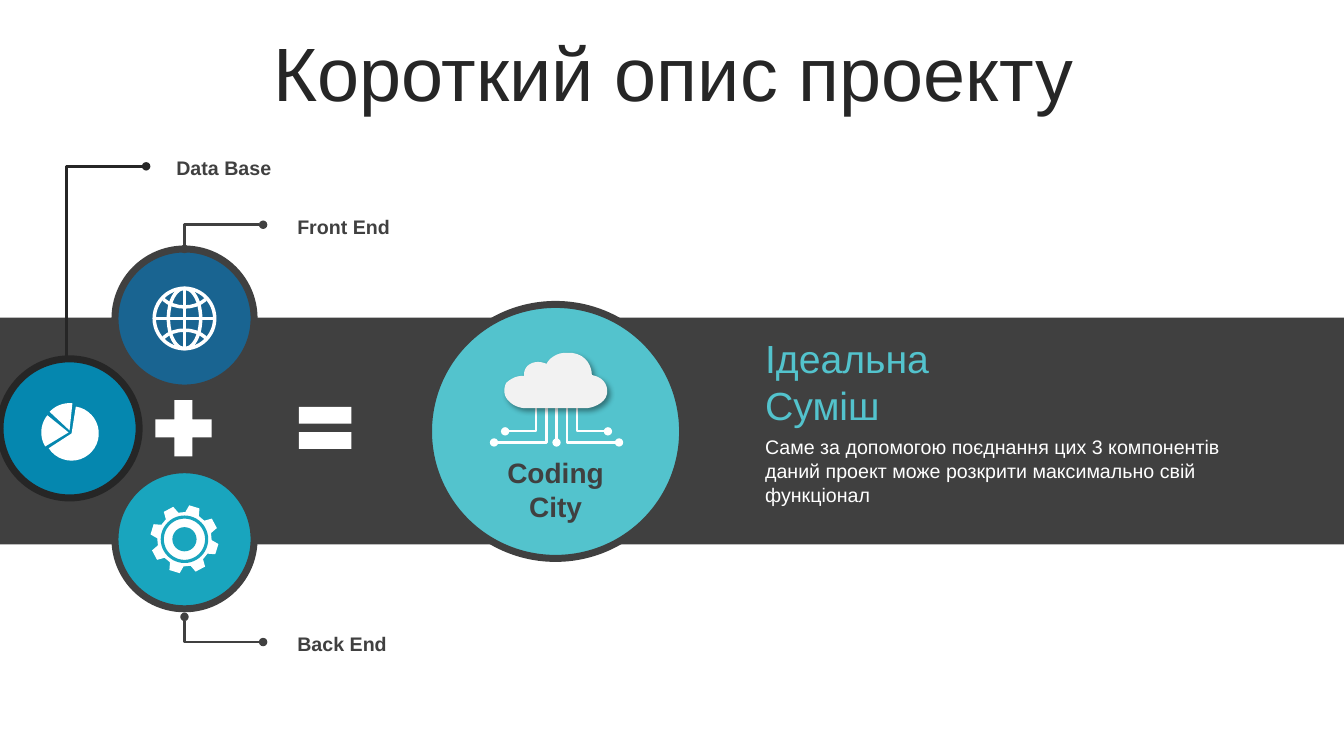
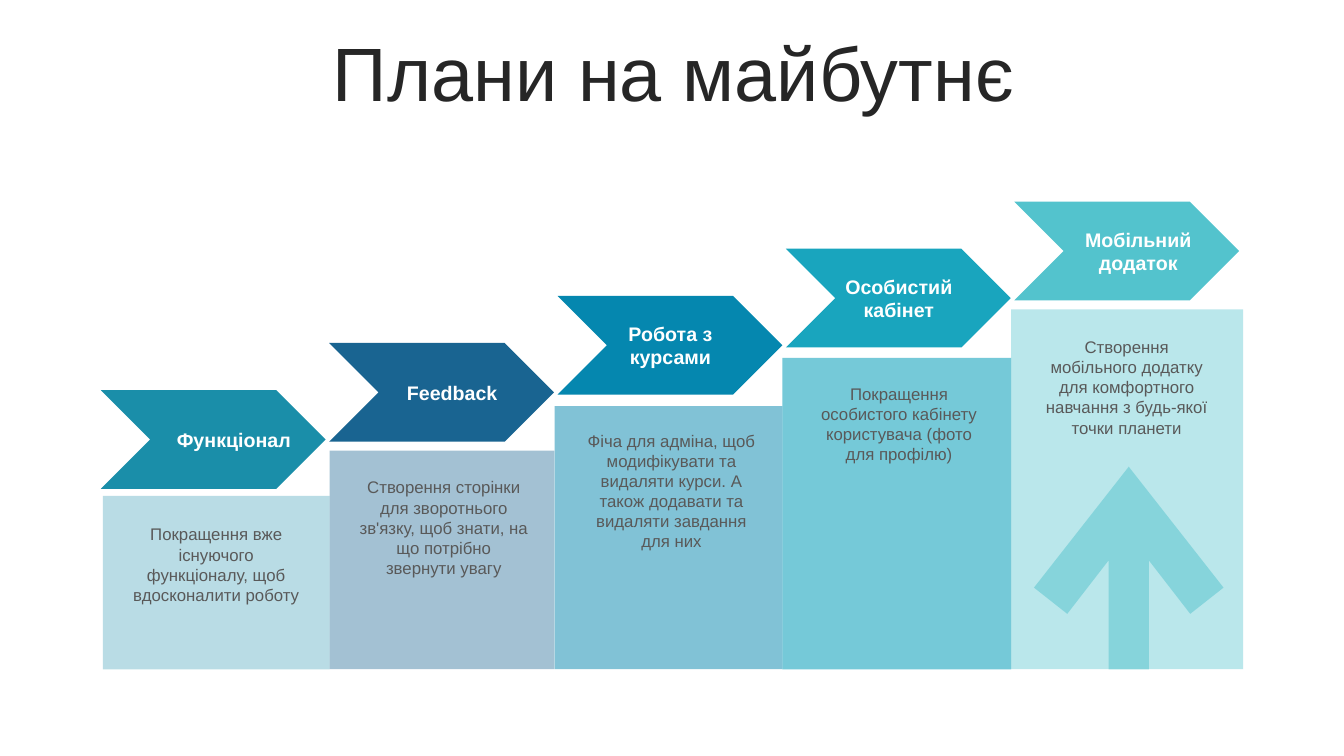
import math
from dataclasses import dataclass

import lxml.etree
import pptx
import pptx.dml.color
import pptx.enum.shapes
import pptx.enum.text
import pptx.oxml.ns
import pptx.util

Inches = pptx.util.Inches
Pt = pptx.util.Pt
RGBColor = pptx.dml.color.RGBColor
SHAPE = pptx.enum.shapes.MSO_SHAPE
CONNECTOR = pptx.enum.shapes.MSO_CONNECTOR
ALIGN = pptx.enum.text.PP_ALIGN
ANCHOR = pptx.enum.text.MSO_ANCHOR
qn = pptx.oxml.ns.qn

FONT = "Arial"
INK = RGBColor(0x26, 0x26, 0x26)
CHARCOAL = RGBColor(0x40, 0x40, 0x40)
GREY = RGBColor(0x59, 0x59, 0x59)
WHITE = RGBColor(0xFF, 0xFF, 0xFF)
CLOUD_WHITE = RGBColor(0xF2, 0xF2, 0xF2)
SEA = RGBColor(0x1A, 0x8E, 0xA9)
NAVY = RGBColor(0x19, 0x64, 0x91)
BLUE = RGBColor(0x05, 0x87, 0xAF)
TEAL = RGBColor(0x19, 0xA5, 0xBE)
AQUA = RGBColor(0x53, 0xC3, 0xCD)


@dataclass
class Box:
    left: float
    top: float
    width: float
    height: float

    def inner(self, dx, dy, width, height):
        return Box(self.left + dx, self.top + dy, width, height)

    def emu(self):
        return [Inches(v) for v in (self.left, self.top, self.width, self.height)]

    def center(self):
        return self.left + self.width / 2, self.top + self.height / 2


def square(center, radius):
    return Box(center[0] - radius, center[1] - radius, 2 * radius, 2 * radius)


def paint(shape, fill, line=None, weight=0, opacity=100):
    shape.shadow.inherit = False
    if fill is None:
        shape.fill.background()
    else:
        shape.fill.solid()
        shape.fill.fore_color.rgb = fill
        if opacity < 100:
            color = shape._element.spPr.find(qn("a:solidFill"))[0]
            lxml.etree.SubElement(color, qn("a:alpha"), val=str(opacity * 1000))
    if line is None:
        shape.line.fill.background()
    else:
        shape.line.color.rgb = line
        shape.line.width = Pt(weight)
    return shape


def draw(slide, preset, box, fill, line=None, weight=0, opacity=100):
    return paint(slide.shapes.add_shape(preset, *box.emu()), fill, line, weight, opacity)


def outline(slide, points, fill, line=None, weight=0, opacity=100, close=True):
    spots = [(Inches(x), Inches(y)) for x, y in points]
    builder = slide.shapes.build_freeform(*spots[0])
    builder.add_line_segments(spots[1:], close=close)
    return paint(builder.convert_to_shape(), fill, line, weight, opacity)


def write(slide, box, lines, size, color, bold=False, align=ALIGN.LEFT,
          anchor=ANCHOR.TOP, spacing=None):
    frame = slide.shapes.add_textbox(*box.emu()).text_frame
    frame.word_wrap = True
    frame.vertical_anchor = anchor
    for index, line in enumerate(lines):
        paragraph = frame.add_paragraph() if index else frame.paragraphs[0]
        paragraph.alignment = align
        if spacing:
            paragraph.line_spacing = spacing
        run = paragraph.add_run()
        run.text = line
        run.font.name = FONT
        run.font.size = Pt(size)
        run.font.bold = bold
        run.font.color.rgb = color


def connect(slide, start, end, color, weight, ends=(), bent=False):
    kind = CONNECTOR.ELBOW if bent else CONNECTOR.STRAIGHT
    wire = slide.shapes.add_connector(kind, *(Inches(v) for v in (*start, *end)))
    wire.line.color.rgb = color
    wire.line.width = Pt(weight)
    properties = wire._element.spPr
    if bent:
        properties.find(qn("a:prstGeom")).set("prst", "bentConnector2")
    for tip in ends:
        lxml.etree.SubElement(properties.find(qn("a:ln")), qn("a:" + tip), type="oval")
    lxml.etree.SubElement(properties, qn("a:effectLst"))


def bezier(start, first, second, end, steps=8):
    for step in range(1, steps + 1):
        t = step / steps
        weights = ((1 - t) ** 3, 3 * t * (1 - t) ** 2, 3 * t * t * (1 - t), t ** 3)
        yield tuple(sum(w * p[axis] for w, p in zip(weights, (start, first, second, end)))
                    for axis in (0, 1))


def polar(center, radius, degrees):
    angle = math.radians(degrees)
    return center[0] + radius * math.cos(angle), center[1] + radius * math.sin(angle)


def title(slide, text):
    write(slide, Box(0.35, 0.37, 12.66, 0.79), [text], 54, INK,
          align=ALIGN.CENTER, anchor=ANCHOR.MIDDLE, spacing=0.9)


def globe(slide, center):
    x, y = center
    radius = 0.3
    draw(slide, SHAPE.OVAL, square(center, radius), None, WHITE, 2.5)
    draw(slide, SHAPE.OVAL, Box(x - 0.16, y - radius, 0.32, 2 * radius), None, WHITE, 2.5)
    connect(slide, (x - radius, y), (x + radius, y), WHITE, 2.5)
    connect(slide, (x, y - radius), (x, y + radius), WHITE, 2.5)
    for side in (-1, 1):
        curve = [(x + dx, y + side * dy)
                 for dx, dy in ((-0.21, 0.19), (-0.1, 0.09), (0.1, 0.09), (0.21, 0.19))]
        outline(slide, [curve[0], *bezier(*curve)], None, WHITE, 2.5, close=False)


def gear(slide, center):
    profile = ((0.27, -15), (0.34, -9), (0.34, 9), (0.27, 15))
    teeth = [polar(center, radius, 17 + 45 * tooth + turn)
             for tooth in range(8) for radius, turn in profile]
    outline(slide, teeth, WHITE)
    draw(slide, SHAPE.OVAL, square(center, 0.22), WHITE, TEAL, 2.25)
    draw(slide, SHAPE.OVAL, square(center, 0.12), TEAL)


def pie(slide, center):
    x, y = center
    for dx, dy, first, last in ((0, -0.01, 223, 276), (0.02, 0.02, -81, 147),
                                (-0.01, 0.01, 149, 219)):
        apex = (x + dx, y + dy)
        arc = [polar(apex, 0.27, first + (last - first) * step / 24) for step in range(25)]
        outline(slide, [apex, *arc], WHITE)


def component(slide, box, fill, ring, icon, shift=0):
    draw(slide, SHAPE.OVAL, box, fill, ring, 5)
    x, y = box.center()
    icon(slide, (x, y + shift))


def cloud(slide, box):
    curves = (
        ((0.65, 0), (0.66, 0), (0.67, 0)), ((0.83, 0.02), (0.87, 0.15), (0.87, 0.22)),
        ((1.02, 0.25), (1.03, 0.36), (1.02, 0.41)), ((1, 0.51), (0.86, 0.55), (0.81, 0.55)),
        ((0.6, 0.55), (0.4, 0.55), (0.2, 0.55)), ((0.12, 0.54), (0.07, 0.51), (0.03, 0.46)),
        ((-0.01, 0.41), (0, 0.34), (0.02, 0.3)), ((0.04, 0.28), (0.11, 0.22), (0.2, 0.23)),
        ((0.19, 0.18), (0.22, 0.13), (0.26, 0.11)), ((0.31, 0.08), (0.38, 0.09), (0.42, 0.11)),
        ((0.44, 0.07), (0.51, -0.01), (0.64, 0)))
    points = [(0.64, 0)]
    for curve in curves:
        points.extend(bezier(points[-1], *curve))
    shape = outline(slide, [(box.left + x, box.top + y) for x, y in points], CLOUD_WHITE)
    effects = shape._element.spPr.find(qn("a:effectLst"))
    shadow = lxml.etree.SubElement(effects, qn("a:outerShdw"), blurRad=str(Pt(4)),
                                   dist=str(Pt(3)), dir="2700000", algn="tl", rotWithShape="0")
    black = lxml.etree.SubElement(shadow, qn("a:srgbClr"), val="000000")
    lxml.etree.SubElement(black, qn("a:alpha"), val="40000")


def coding_city(slide, box):
    draw(slide, SHAPE.OVAL, box, AQUA, CHARCOAL, 5)
    middle = box.left + box.width / 2 + 0.01
    for side in (-1, 1):
        for root, reach, drop in ((0.2, 0.51, 1.26), (0.1, 0.62, 1.37)):
            connect(slide, (middle + side * reach, box.top + drop),
                    (middle + side * root, box.top + 0.96), WHITE, 1.5, ["headEnd"], True)
    connect(slide, (middle, box.top + 0.89), (middle, box.top + 1.37), WHITE, 1.5, ["tailEnd"])
    cloud(slide, box.inner(0.75, 0.48, 1.02, 0.55))
    write(slide, box.inner(0, 1.45, box.width, 0.77), ["Coding", "City"], 20, CHARCOAL,
          True, ALIGN.CENTER)


def callout(slide, box, text, target, gap, color, ends):
    write(slide, box, [text], 14, CHARCOAL, True)
    connect(slide, (box.left - gap, box.top + 0.15), target, color, 2, ends, True)


def summary(slide, box):
    write(slide, box.inner(0, 0, box.width, 1.04), ["Ідеальна", "Суміш"], 28, AQUA)
    write(slide, box.inner(0, 1, box.width, 0.81),
          ["Саме за допомогою поєднання цих 3 компонентів даний проект може "
           "розкрити максимально свій функціонал"], 14, WHITE)


def project_slide(slide):
    title(slide, "Короткий опис проекту")
    draw(slide, SHAPE.RECTANGLE, Box(0, 3.15, 13.33, 2.25), CHARCOAL)
    component(slide, Box(1.14, 2.47, 1.38, 1.38), NAVY, CHARCOAL, globe)
    component(slide, Box(1.14, 4.66, 1.38, 1.38), TEAL, CHARCOAL, gear)
    component(slide, Box(0, 3.56, 1.38, 1.38), BLUE, INK, pie, 0.03)
    draw(slide, SHAPE.MATH_PLUS, Box(1.44, 3.87, 0.76, 0.76), WHITE)
    draw(slide, SHAPE.MATH_EQUAL, Box(2.87, 3.89, 0.71, 0.71), WHITE)
    coding_city(slide, Box(4.25, 3.02, 2.52, 2.52))
    summary(slide, Box(7.49, 3.27, 5, 1.81))
    both = ["headEnd", "tailEnd"]
    for left, top, text, target, gap, color, ends in (
            (2.85, 2.08, "Front End", (1.83, 2.47), 0.24, CHARCOAL, both),
            (2.85, 6.22, "Back End", (1.83, 6.12), 0.24, CHARCOAL, both),
            (1.65, 1.5, "Data Base", (0.66, 3.53), 0.2, INK, ["headEnd"])):
        callout(slide, Box(left, top, 4.29, 0.34), text, target, gap, color, ends)


def growth_arrow(slide, box):
    x = box.left + box.width / 2
    half = ((0, 0), (0.94, 1.2), (0.61, 1.46), (0.2, 0.93), (0.2, 2.01))
    right = [(x + dx, box.top + dy) for dx, dy in half]
    left = [(x - dx, box.top + dy) for dx, dy in reversed(half[1:])]
    outline(slide, right + left, AQUA, opacity=50)


def plan_step(slide, arrow, panel, note, heading, text, color, opacity, label_center):
    draw(slide, SHAPE.RECTANGLE, panel, color, opacity=opacity)
    draw(slide, SHAPE.CHEVRON, arrow, color)
    write(slide, arrow.inner(label_center - 0.76, 0, 1.52, arrow.height), [heading],
          14, WHITE, True, ALIGN.CENTER, ANCHOR.MIDDLE)
    write(slide, note, [text], 12, GREY, align=ALIGN.CENTER)


def plans_slide(slide):
    title(slide, "Плани на майбутнє")
    steps = (
        ("Функціонал", "Покращення вже існуючого функціоналу, щоб вдосконалити роботу",
         SEA, 30, 1.32),
        ("Feedback", "Створення сторінки для зворотнього зв'язку, щоб знати, "
         "на що потрібно звернути увагу", NAVY, 40, 1.22),
        ("Робота з курсами", "Фіча для адміна, щоб модифікувати та видаляти курси. "
         "А також додавати та видаляти завдання для них", BLUE, 50, 1.12),
        ("Особистий кабінет", "Покращення особистого кабінету користувача "
         "(фото для профілю)", TEAL, 60, 1.12),
        ("Мобільний додаток", "Створення мобільного додатку для комфортного "
         "навчання з будь-якої точки планети", AQUA, 40, 1.23))
    edges = (1.02, 3.27, 5.5, 7.76, 10.03, 12.33)
    tops = (4.92, 4.47, 4.03, 3.55, 3.07)
    base = 6.64
    for index, step in enumerate(steps):
        left, top = edges[index], tops[index]
        climb = index / (len(steps) - 1)
        panel = Box(left, top, edges[index + 1] - left, base - top)
        arrow = Box(1 + 9.06 * climb, 3.87 - 1.87 * climb, 2.23, 0.98)
        note = Box(1.21 + 9.03 * climb, 5.15 - 1.86 * climb, 1.87, 1.31)
        plan_step(slide, arrow, panel, note, *step)
    growth_arrow(slide, Box(10.26, 4.63, 1.87, 2.01))


def main():
    deck = pptx.Presentation()
    deck.slide_width = Inches(13.33)
    deck.slide_height = Inches(7.5)
    for build in (project_slide, plans_slide):
        build(deck.slides.add_slide(deck.slide_layouts[6]))
    deck.save("out.pptx")


if __name__ == "__main__":
    main()
